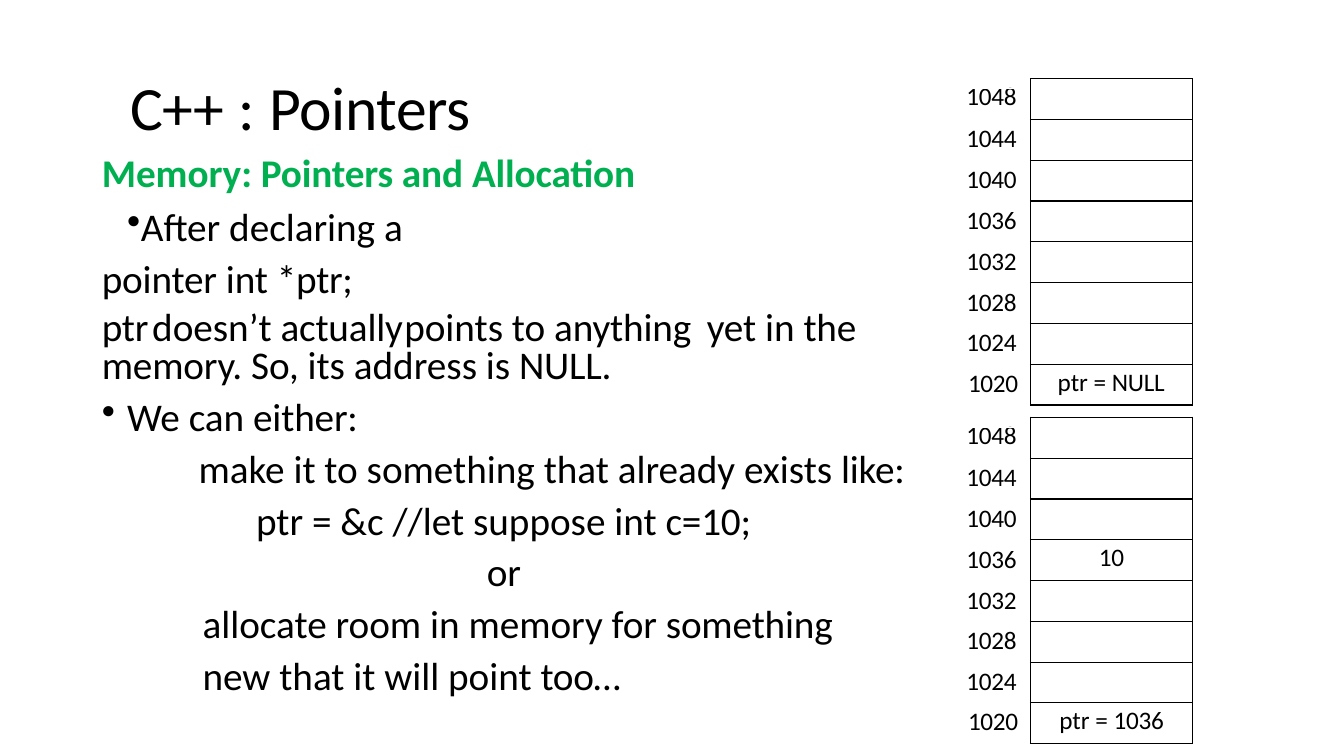
from dataclasses import dataclass

from lxml import etree
from pptx import Presentation
from pptx import util as u
from pptx.dml.color import RGBColor
from pptx.enum import text
from pptx.oxml import ns


@dataclass(frozen=True)
class Theme:
    font: str = "Calibri"
    ink: str = "000000"
    heading: str = "00AF50"
    title_size: int = 44
    body_size: int = 28
    cell_size: int = 18


THEME = Theme()
CENTER = text.PP_ALIGN.CENTER
ADDRESSES = [str(address) for address in range(1048, 1016, -4)]
ROW = 0.405      # height of one memory cell
END_ROW = 0.33   # height of the first and last address

# Each paragraph: runs of (words, letter spacing in points), then its format
BODY = [
    ([("Memory: ", 0), ("Pointers ", -0.1), ("and ", 0), ("Allocation", -0.1)],
     dict(left=0.01, before=4.2, color=THEME.heading, bold=True)),
    ([("After declaring a ", 0), ("pointer ", -0.1), ("int ", 0), ("*ptr;", -0.2)],
     dict(left=0.01, first=0.25, right=4.4, line=u.Pt(37), before=1.6,
          bullet="•", tabs=[0.26])),
    ([("ptr", -0.2), ("\tdoesn’t ", 0), ("actually", -0.1), ("\tpoints to ", 0),
      ("anything", -0.1), ("\tyet in ", 0), ("the ", -0.2), ("memory. ", -0.1),
      ("So, its address is ", 0), ("NULL.", -0.1)],
     dict(left=0.01, line=u.Pt(26.9), before=7.9, tabs=[0.62, 3.31, 6.4])),
    ([("We can ", 0), ("either:", -0.1)],
     dict(left=0.26, first=-0.25, before=3.5, bullet="•", tabs=[0.26])),
    ([("make it to something that already exists ", 0), ("like: ", -0.1),
      ("ptr = &c //let suppose int ", 0), ("c=10;", -0.1)],
     dict(left=1.54, first=-0.57, line=1.1, before=0.1)),
    ([("or", -0.2)], dict(left=3.83, before=3.2)),
    ([("allocate room in memory for ", 0), ("something", -0.1)],
     dict(left=1.01, before=3.4)),
    ([("new that it will point ", 0), ("too…", -0.2)],
     dict(left=1.01, before=3.3)),
]


def write(paragraph, runs, size, color=THEME.ink, bold=False, left=0, first=0,
          right=0, line=None, before=0, bullet=None, tabs=(),
          align=text.PP_ALIGN.LEFT):
    """Fill one paragraph with its runs and format it."""
    paragraph.alignment = align
    paragraph.space_before = u.Pt(before)
    if line is not None:
        paragraph.line_spacing = line
    for words, spacing in runs:
        run = paragraph.add_run()
        run.text = words
        run.font.name = THEME.font
        run.font.size = u.Pt(size)
        run.font.bold = bold
        run.font.color.rgb = RGBColor.from_string(color)
        run.font._element.set("spc", str(round(spacing * 100)))

    # Indents, bullet and tab stops
    props = paragraph._p.get_or_add_pPr()
    for name, length in (("marL", left), ("marR", right), ("indent", first)):
        props.set(name, str(u.Inches(length)))
    if bullet:
        etree.SubElement(props, ns.qn("a:buChar"), char=bullet)
    else:
        etree.SubElement(props, ns.qn("a:buNone"))
    if tabs:
        stops = etree.SubElement(props, ns.qn("a:tabLst"))
        for stop in tabs:
            etree.SubElement(stops, ns.qn("a:tab"), pos=str(u.Inches(stop)), algn="l")


def set_frame(frame, top):
    frame.word_wrap = True
    frame.auto_size = text.MSO_AUTO_SIZE.SHAPE_TO_FIT_TEXT
    frame.vertical_anchor = text.MSO_ANCHOR.TOP
    frame.margin_left = frame.margin_right = frame.margin_bottom = 0
    frame.margin_top = u.Inches(top)


def add_title(slide):
    title = slide.shapes.title
    title.left, title.top = u.Inches(1.28), u.Inches(0.67)
    title.width, title.height = u.Inches(3.4), u.Inches(0.76)
    set_frame(title.text_frame, 0.01)
    write(title.text_frame.paragraphs[0], [("C++ : ", 0), ("Pointers", -0.3)],
          THEME.title_size, left=0.01, before=1.1)


def add_body(slide):
    body = slide.shapes.add_textbox(u.Inches(1), u.Inches(1.41),
                                    u.Inches(8.01), u.Inches(5.52)).text_frame
    set_frame(body, 0.06)
    for index, (runs, style) in enumerate(BODY):
        paragraph = body.add_paragraph() if index else body.paragraphs[0]
        write(paragraph, runs, THEME.body_size, **style)


def add_column(slide, left, top, width, heights):
    """Add a plain one-column table and return its cells."""
    table = slide.shapes.add_table(len(heights), 1, u.Inches(left), u.Inches(top),
                                   u.Inches(width), u.Inches(sum(heights))).table
    table.first_row = table.horz_banding = False
    for row, height in zip(table.rows, heights):
        row.height = u.Inches(height)
    cells = list(table.iter_cells())
    for cell in cells:
        cell.margin_left = cell.margin_right = cell.margin_top = cell.margin_bottom = 0
    return cells


def outline(cell):
    props = cell._tc.get_or_add_tcPr()
    for side in ("a:lnL", "a:lnR", "a:lnT", "a:lnB"):
        border = etree.SubElement(props, ns.qn(side), w=str(u.Pt(1)))
        fill = etree.SubElement(border, ns.qn("a:solidFill"))
        etree.SubElement(fill, ns.qn("a:srgbClr"), val=THEME.ink)


def add_memory(slide, top, contents):
    """Draw memory cells, with contents keyed by address, and their addresses."""
    for address, cell in zip(ADDRESSES, add_column(slide, 10.22, top, 1.61, [ROW] * 8)):
        outline(cell)
        cell.fill.background()
        if address in contents:
            runs, style = contents[address]
            cell.margin_top = u.Inches(0.03)
            write(cell.text_frame.paragraphs[0], runs, THEME.cell_size,
                  before=2.5, **style)

    # Addresses beside the cells
    heights = [END_ROW] + [ROW] * 6 + [END_ROW]
    special = {ADDRESSES[0]: dict(line=u.Pt(17.1)),
               ADDRESSES[-1]: dict(line=u.Pt(21.5), left=0.03, before=1.1)}
    for address, cell in zip(ADDRESSES, add_column(slide, 9.53, top + 0.1, 0.61, heights)):
        cell.fill.background()
        cell.margin_top = u.Inches(0 if address == ADDRESSES[0] else 0.02)
        write(cell.text_frame.paragraphs[0], [(address, -0.2)], THEME.cell_size,
              align=CENTER, **special.get(address, dict(before=1.1)))


def main():
    deck = Presentation()
    deck.slide_width, deck.slide_height = u.Inches(13.33), u.Inches(7.5)
    slide = deck.slides.add_slide(deck.slide_layouts[5])
    add_title(slide)
    add_body(slide)

    # Memory before and after the pointer is set
    add_memory(slide, 0.78, {
        "1020": ([("ptr = ", 0), ("NULL", -0.2)], dict(left=0.27))})
    add_memory(slide, 4.14, {
        "1036": ([("10", -0.2)], dict(align=CENTER)),
        "1020": ([("ptr = ", 0), ("1036", -0.2)], dict(align=CENTER))})
    deck.save("out.pptx")


if __name__ == "__main__":
    main()
